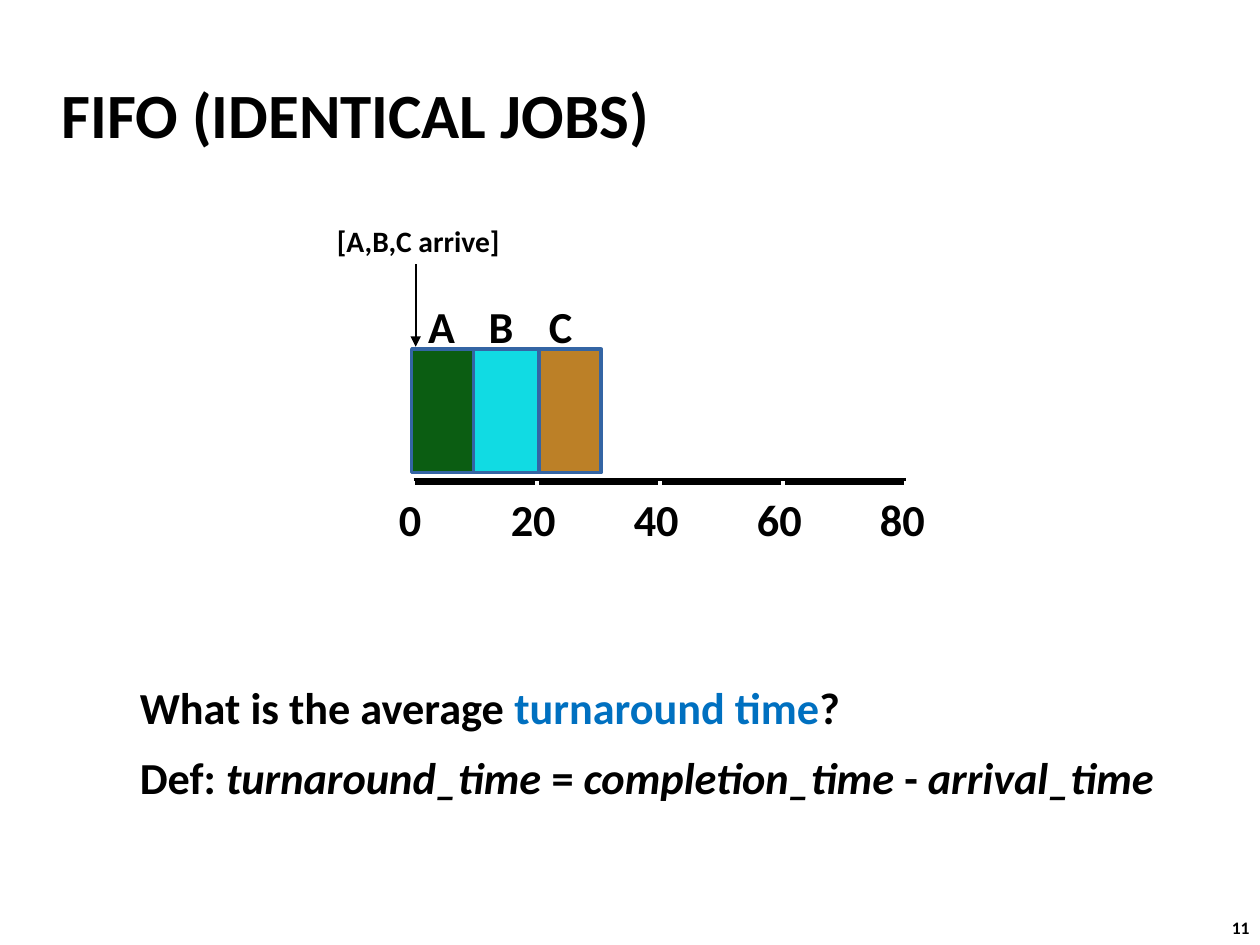
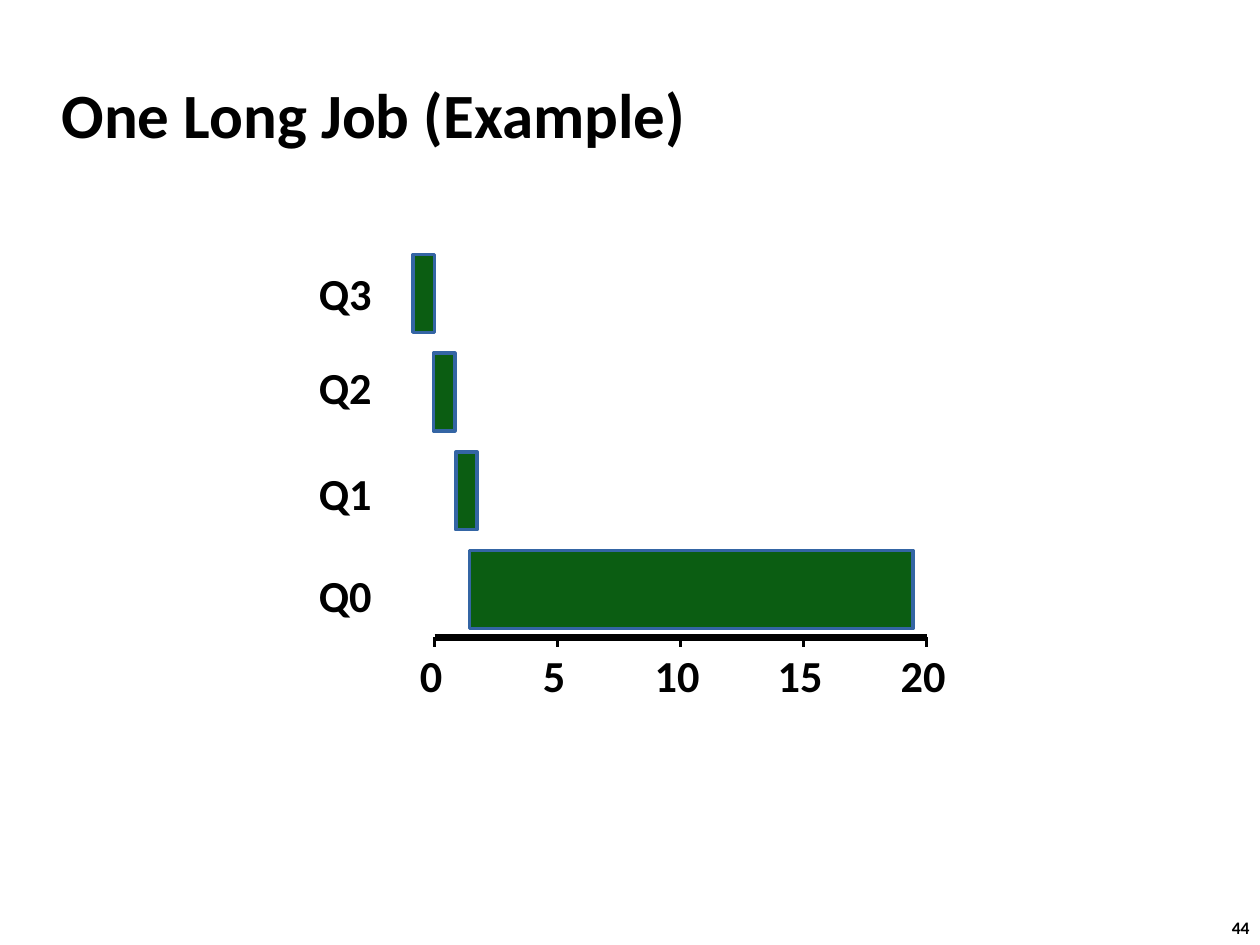
from dataclasses import dataclass

from lxml.etree import SubElement
from pptx import Presentation
from pptx.dml.color import RGBColor
from pptx.enum.shapes import MSO_CONNECTOR, MSO_SHAPE
from pptx.enum.text import MSO_ANCHOR, PP_ALIGN
from pptx.oxml.ns import qn
from pptx.util import Cm, Pt


@dataclass(frozen=True)
class Theme:
    font: str = "Calibri"
    black: str = "000000"
    white: str = "FFFFFF"
    accent: str = "0070C0"
    outline: str = "3465A4"
    green: str = "0B5D12"
    cyan: str = "11DBE3"
    amber: str = "BC8027"
    title_size: float = 36
    body_size: float = 25.3
    note_size: float = 16.9
    number_size: float = 10


theme = Theme()


def add_text(slide, left, top, width, height, paragraphs, size,
             align=PP_ALIGN.CENTER, inset=0.1, gap=0):
    """Each paragraph is a list of (text, colour, italic) runs."""
    box = slide.shapes.add_textbox(Cm(left), Cm(top), Cm(width), Cm(height))
    frame = box.text_frame
    frame.word_wrap = False
    frame.vertical_anchor = MSO_ANCHOR.MIDDLE
    frame.margin_left = frame.margin_right = Cm(inset)
    frame.margin_top = frame.margin_bottom = Cm(0.1)
    for index, runs in enumerate(paragraphs):
        paragraph = frame.add_paragraph() if index else frame.paragraphs[0]
        paragraph.alignment = align
        if index:
            paragraph.space_before = Pt(gap)
        for text, colour, italic in runs:
            run = paragraph.add_run()
            run.text = text
            run.font.name = theme.font
            run.font.size = Pt(size)
            run.font.bold = True
            run.font.italic = italic
            run.font.color.rgb = RGBColor.from_string(colour)


def add_line(slide, x1, y1, x2, y2, colour, width, arrow=False):
    line = slide.shapes.add_connector(
        MSO_CONNECTOR.STRAIGHT, Cm(x1), Cm(y1), Cm(x2), Cm(y2))
    line.line.color.rgb = RGBColor.from_string(colour)
    line.line.width = Pt(width)
    properties = line._element.spPr
    if arrow:
        SubElement(properties.find(qn("a:ln")), qn("a:tailEnd"), type="triangle")
    SubElement(properties, qn("a:effectLst"))


presentation = Presentation()
presentation.slide_width = Cm(25.4)
presentation.slide_height = Cm(19.05)

# Bars: left, top, width, height, colour. Labels: centre, top, text.
job_bars = [(8.3 + 1.25 * index, 7.04, 1.32, 2.49, colour)
            for index, colour in [(0, theme.green), (2, theme.amber), (1, theme.cyan)]]
job_labels = [(8.9 + 1.2 * index, 5.94, job) for index, job in enumerate("ABC")]
queue_bars = [(left, 5.13 + 1.99 * level, width, 1.57, theme.green)
              for level, (left, width) in enumerate(
                  [(8.33, 0.43), (8.74, 0.43), (9.19, 0.43), (9.47, 8.94)])]
queue_labels = [(6.96, top, queue) for top, queue in
                [(5.26, "Q3"), (7.16, "Q2"), (9.3, "Q1"), (11.35, "Q0")]]

# Title, number, bars, labels, axis left, axis top, tick step, tick colour
charts = [
    ("FIFO (IDENTICAL JOBS)", "11", job_bars, job_labels, 8.34, 9.7, 20, theme.white),
    ("One Long Job (Example)", "44", queue_bars, queue_labels, 8.76, 12.85, 5, theme.black),
]
tick_gap = 2.48
tick_count = 5

for title, number, bars, labels, axis_left, axis_top, step, tick_colour in charts:
    slide = presentation.slides.add_slide(presentation.slide_layouts[6])

    # Title and slide number
    add_text(slide, 0.99, 1.24, 21.08, 2.11, [[(title, theme.black, False)]],
             theme.title_size, PP_ALIGN.LEFT, 0.25)
    add_text(slide, 24.54, 18.36, 0.94, 0.69, [[(number, theme.black, False)]],
             theme.number_size)

    # Job bars
    for left, top, width, height, colour in bars:
        shape = slide.shapes.add_shape(
            MSO_SHAPE.RECTANGLE, Cm(left), Cm(top), Cm(width), Cm(height))
        shape.shadow.inherit = False
        shape.fill.solid()
        shape.fill.fore_color.rgb = RGBColor.from_string(colour)
        shape.line.color.rgb = RGBColor.from_string(theme.outline)
        shape.line.width = Pt(2)

    # Time axis with ticks
    add_line(slide, axis_left, axis_top, axis_left + tick_gap * (tick_count - 1),
             axis_top, theme.black, 4)
    axis_labels = []
    for index in range(tick_count):
        x = axis_left + tick_gap * index
        add_line(slide, x, axis_top, x, axis_top + 0.2, tick_colour, 2)
        axis_labels.append((x - 0.07, axis_top + 0.12, str(step * index)))

    # Bar and axis labels
    for centre, top, text in labels + axis_labels:
        add_text(slide, centre - 0.65, top, 1.3, 1.27,
                 [[(text, theme.black, False)]], theme.body_size)

# Arrival note and question on the first slide
slide = presentation.slides[0]
add_text(slide, 6.68, 4.39, 3.51, 0.91, [[("[A,B,C arrive]", theme.black, False)]],
         theme.note_size)
add_line(slide, 8.38, 5.33, 8.38, 6.99, theme.black, 1, arrow=True)
question = [
    ("What is the average ", theme.black, False),
    ("turnaround time", theme.accent, False),
    ("?", theme.black, False),
]
definition = [
    ("Def: ", theme.black, False),
    ("turnaround_time", theme.black, True),
    (" = ", theme.black, False),
    ("completion_time", theme.black, True),
    (" - ", theme.black, False),
    ("arrival_time", theme.black, True),
]
add_text(slide, 2.72, 13.61, 20.88, 2.69, [question, definition],
         theme.body_size, PP_ALIGN.LEFT, gap=9.4)

presentation.save("out.pptx")
